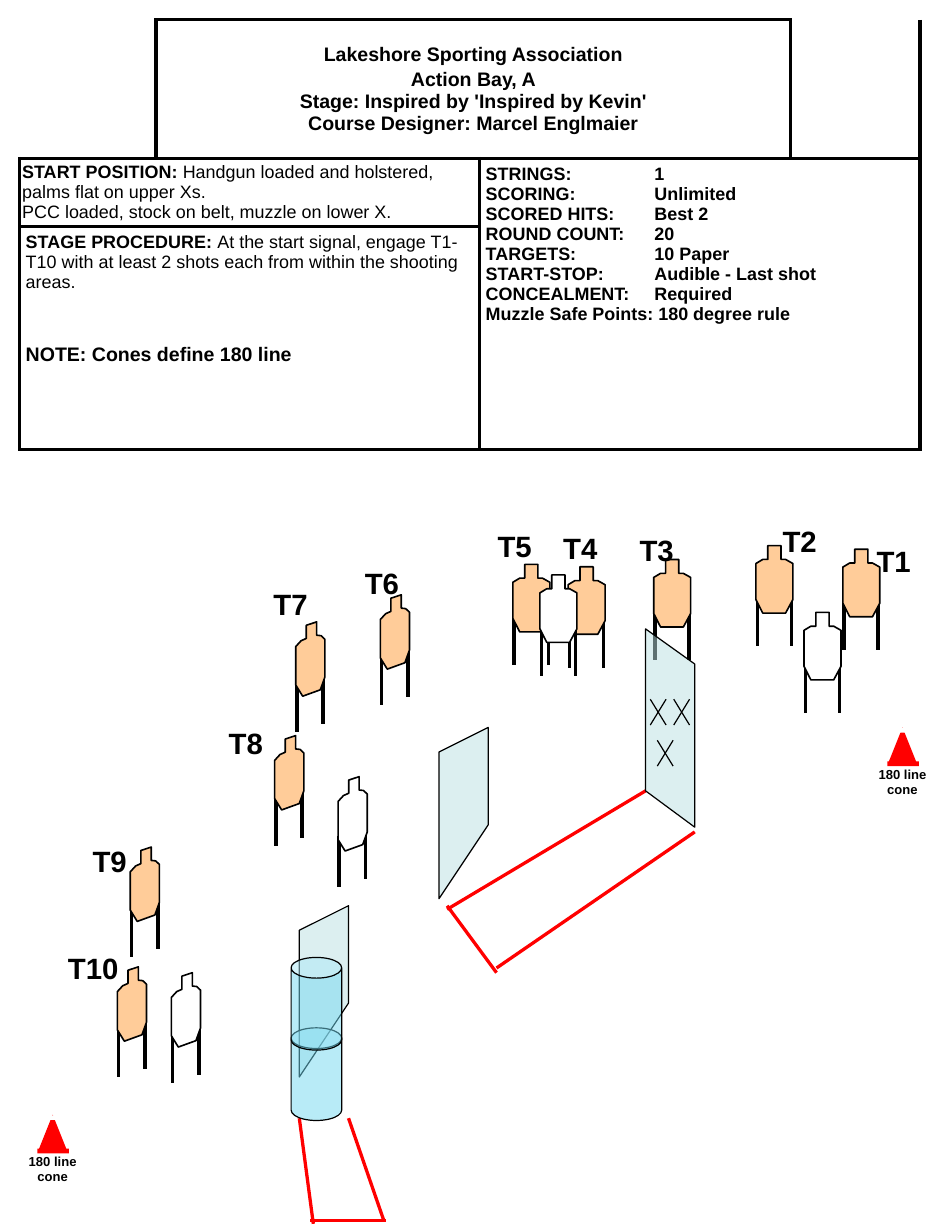
"""Build a one-page shooting stage briefing with its course diagram."""
from dataclasses import dataclass

from lxml import etree
from pptx import Presentation
from pptx.dml.color import RGBColor
from pptx.enum import shapes as kinds, text as texts
from pptx.oxml import ns
from pptx.util import Pt

BLACK, WHITE, RED = "000000", "FFFFFF", "FF0000"
TAN, GLASS, BARREL = "FFCC99", "BBE0E3", "73D9F1"
PLAIN_TABLE = "{2D5ABB26-0587-4C30-8999-92F81FD0307C}"
CENTER = texts.PP_ALIGN.CENTER


@dataclass(frozen=True)
class Silhouette:
    outline: tuple
    legs: tuple


@dataclass(frozen=True)
class Target:
    x: float
    y: float
    silhouette: Silhouette
    color: str = TAN


@dataclass(frozen=True)
class Label:
    name: str
    x: float
    y: float
    width: float = 42.5


@dataclass(frozen=True)
class Para:
    runs: tuple
    before: float = 0
    tab: float = 0


@dataclass(frozen=True)
class Panel:
    first: tuple
    last: tuple
    paras: tuple
    inset: tuple = (3.6, 3.6)
    size: float = 11
    centered: bool = False


FRONT = Silhouette(
    ((7.3, 0), (15.4, 0), (15.4, 8.5), (18.2, 8.5), (22.7, 11), (22.7, 33.1),
     (18.2, 41.4), (4.2, 41.4), (0, 33.1), (0, 11), (4.2, 8.5), (7.3, 8.5)),
    ((0.9, 30.6, 61.9), (21.8, 30.6, 61.9)))
ANGLED = Silhouette(
    ((6.5, 2.1), (12.9, 0), (12.9, 8.2), (15.6, 8.5), (17.9, 10.7), (17.9, 33.9),
     (15.1, 41.7), (4.3, 45.6), (0, 38.7), (0, 15.2), (3.3, 11.6), (6.5, 10.2)),
    ((0.7, 36.5, 67.6), (16.9, 31.9, 62.8)))
BACK_TARGETS = (
    Target(401, 343.4, FRONT), Target(493.2, 375.8, FRONT, WHITE),
    Target(105.1, 596.9, ANGLED, WHITE), Target(207.4, 476.6, ANGLED, WHITE))
FRONT_TARGETS = (
    Target(314.6, 346.3, FRONT), Target(463.7, 334.8, FRONT), Target(517, 337, FRONT),
    Target(79.9, 519.8, ANGLED), Target(72, 593.3, ANGLED), Target(168.5, 451.4, ANGLED),
    Target(181.4, 381.6, ANGLED), Target(233.3, 365, ANGLED),
    Target(348.5, 347.8, FRONT), Target(331.2, 352.8, FRONT, WHITE))
LABELS = (
    Label("T1", 530.6, 329.8), Label("T2", 473, 317.5), Label("T3", 385.2, 323.3),
    Label("T4", 338.4, 321.8), Label("T5", 298.1, 320.4), Label("T6", 216.7, 343.4),
    Label("T7", 160.6, 356.4), Label("T8", 133.2, 441.4), Label("T9", 49.7, 514.1),
    Label("T10", 34.6, 579.6, 49.7))
FAULT_LINES = (
    (213.8, 686.2, 235.4, 748.8), (236.9, 748.8, 190.1, 748.8), (274.3, 555.8, 304.6, 596.9),
    (183.6, 686.2, 192.2, 751), (274.3, 558, 396, 485.3), (304.6, 594, 426.2, 510.5))
TALL_WALL = ((30.2, 21.6), (0, 0), (0, 99.4), (30.2, 121.7))
LOW_WALL = ((30.2, 59.8), (0, 105.1), (0, 15.1), (30.2, 0))
WALLS = ((396, 385.9, TALL_WALL), (269.3, 446.4, LOW_WALL), (183.6, 555.8, LOW_WALL))
CONES = ((5, 684), (526.3, 446.4))
BARRELS = ((178.6, 630.7), (178.6, 587.5))
START_MARKS = ((398.9, 429.1), (413.3, 429.1), (403.2, 454.3))
FACTS = (
    "STRINGS:\t1", "SCORING:\tUnlimited", "SCORED HITS:\tBest 2", "ROUND COUNT:\t20",
    "TARGETS:\t10 Paper", "START-STOP:\tAudible - Last shot", "CONCEALMENT:\tRequired",
    "Muzzle Safe Points: 180 degree rule")
PANELS = (
    Panel((0, 1), (0, 2), (
        Para((("Lakeshore Sporting Association", True),)),
        Para((("Action Bay, A\nStage: Inspired by 'Inspired by Kevin'\n"
               "Course Designer: Marcel Englmaier", True),), 2.4)), size=12, centered=True),
    Panel((1, 0), (1, 1), (
        Para((("START POSITION: ", True),
              ("Handgun loaded and holstered, palms flat on upper Xs.", False))),
        Para((("PCC loaded, stock on belt, muzzle on lower X.", False),), 0.55)), (1.4, 2.2)),
    Panel((1, 2), (2, 3), tuple(Para(((fact, True),), tab=103.5) for fact in FACTS)),
    Panel((2, 0), (2, 1), (
        Para((("STAGE PROCEDURE: ", True),
              ("At the start signal, engage T1-T10 with at least 2 shots each "
               "from within the shooting areas.", False))),
        Para((("NOTE: Cones define 180 line", True, 12),), 32))))


def rgb(color: str) -> RGBColor:
    """Turn a hex string into a colour."""
    return RGBColor.from_string(color)


def apply(part, **values) -> None:
    """Set several attributes of one object."""
    for key, value in values.items():
        setattr(part, key, value)


def style_font(font, size: float, bold: bool = True) -> None:
    """Give text the common black Arial."""
    apply(font, name="Arial", size=Pt(size), bold=bold)
    font.color.rgb = rgb(BLACK)


def paint(shape, fill: str, line: float = 0, alpha: int = 100) -> None:
    """Fill a shape and outline it in black when a line width is given."""
    shape.shadow.inherit = False
    shape.fill.solid()
    shape.fill.fore_color.rgb = rgb(fill)
    if alpha < 100:
        color = shape._element.spPr.find(ns.qn("a:solidFill"))[0]
        etree.SubElement(color, ns.qn("a:alpha"), val=str(alpha * 1000))
    if line:
        shape.line.color.rgb = rgb(BLACK)
        shape.line.width = Pt(line)
    else:
        shape.line.fill.background()


def draw_line(canvas, ends: tuple, color: str, width: float) -> None:
    """Draw a straight line between two points."""
    line = canvas.add_connector(kinds.MSO_CONNECTOR.STRAIGHT, *map(Pt, ends))
    line.line.color.rgb = rgb(color)
    line.line.width = Pt(width)
    etree.SubElement(line._element.spPr, ns.qn("a:effectLst"))


def draw_polygon(canvas, x: float, y: float, corners: tuple):
    """Draw a closed outline moved to x and y."""
    points = [(Pt(x + dx), Pt(y + dy)) for dx, dy in corners]
    builder = canvas.build_freeform(*points[0])
    builder.add_line_segments(points[1:], close=True)
    return builder.convert_to_shape()


def draw_target(canvas, target: Target) -> None:
    """Draw a target on its two legs."""
    group = canvas.add_group_shape().shapes
    for dx, top, foot in target.silhouette.legs:
        x = target.x + dx
        draw_line(group, (x, target.y + top, x, target.y + foot), BLACK, 2.25)
    paint(draw_polygon(group, target.x, target.y, target.silhouette.outline), target.color, 1)


def draw_text(canvas, words: str, box: tuple, size: float, align=None) -> None:
    """Place a bold caption."""
    frame = canvas.add_textbox(*map(Pt, box)).text_frame
    apply(frame, word_wrap=True, auto_size=texts.MSO_AUTO_SIZE.SHAPE_TO_FIT_TEXT)
    caption = frame.paragraphs[0]
    caption.alignment = align
    run = caption.add_run()
    run.text = words
    style_font(run.font, size)


def draw_cone(canvas, x: float, y: float) -> None:
    """Draw a cone with its caption."""
    group = canvas.add_group_shape().shapes
    preset = kinds.MSO_SHAPE
    for kind, dx, dy, width, height, color in (
            (preset.ISOSCELES_TRIANGLE, 18.7, 0, 17.3, 21.6, RED),
            (preset.RECTANGLE, 23, 0.4, 8.6, 2.9, WHITE),
            (preset.RECTANGLE, 18, 20.9, 19.4, 2.9, RED)):
        paint(group.add_shape(kind, Pt(x + dx), Pt(y + dy), Pt(width), Pt(height)), color)
    draw_text(group, "180 line cone", (x, y + 20.2, 54.7, 26.6), 8, CENTER)


def border(cell, sides: str) -> None:
    """Rule the given sides of a cell and fill it white."""
    for side in sides:
        edge = etree.SubElement(cell._tc.get_or_add_tcPr(), ns.qn(f"a:ln{side}"), w=str(Pt(2.25)))
        solid = etree.SubElement(edge, ns.qn("a:solidFill"))
        etree.SubElement(solid, ns.qn("a:srgbClr"), val=BLACK)
    cell.fill.solid()
    cell.fill.fore_color.rgb = rgb(WHITE)


def write_para(paragraph, para: Para, panel: Panel) -> None:
    """Write one paragraph of a panel."""
    if para.before:
        paragraph.space_before = Pt(para.before)
    if panel.centered:
        paragraph.alignment = CENTER
    if para.tab:
        tabs = etree.SubElement(paragraph._p.get_or_add_pPr(), ns.qn("a:tabLst"))
        etree.SubElement(tabs, ns.qn("a:tab"), pos=str(Pt(para.tab)), algn="l")
    for words, bold, *size in para.runs:
        for index, line in enumerate(words.split("\n")):
            if index:
                paragraph.add_line_break()
            run = paragraph.add_run()
            run.text = line
            style_font(run.font, size[0] if size else panel.size, bold)


def draw_briefing(canvas) -> None:
    """Build the briefing table."""
    briefing = canvas.add_table(3, 4, Pt(12.2), Pt(12.2), Pt(552.2), Pt(257)).table
    apply(briefing, first_row=False, horz_banding=False)
    briefing._tbl.tblPr.find(ns.qn("a:tableStyleId")).text = PLAIN_TABLE
    for column, width in zip(briefing.columns, (83.5, 198.7, 190.8, 79.2)):
        column.width = Pt(width)
    for row, height in zip(briefing.rows, (85, 35.3, 136.8)):
        row.height = Pt(height)
    open_corners = {(0, 0): "RB", (0, 3): "LB"}
    for r in range(3):
        for c in range(4):
            border(briefing.cell(r, c), open_corners.get((r, c), "LRTB"))
    for panel in PANELS:
        cell = briefing.cell(*panel.first)
        cell.merge(briefing.cell(*panel.last))
        side, top = map(Pt, panel.inset)
        apply(cell, margin_left=side, margin_right=side, margin_top=top, margin_bottom=top)
        if panel.centered:
            cell.vertical_anchor = texts.MSO_ANCHOR.MIDDLE
        frame = cell.text_frame
        for index, para in enumerate(panel.paras):
            write_para(frame.add_paragraph() if index else frame.paragraphs[0], para, panel)


def main() -> None:
    """Draw the stage page and save it."""
    deck = Presentation()
    apply(deck, slide_width=Pt(576), slide_height=Pt(756))
    canvas = deck.slides.add_slide(deck.slide_layouts[6]).shapes
    for target in BACK_TARGETS:
        draw_target(canvas, target)
    draw_briefing(canvas)
    for ends in FAULT_LINES:
        draw_line(canvas, ends, RED, 2)
    for label in LABELS:
        draw_text(canvas, label.name, (label.x, label.y, label.width, 28.8), 18)
    for x, y in CONES:
        draw_cone(canvas, x, y)
    for target in FRONT_TARGETS:
        draw_target(canvas, target)
    for x, y, corners in WALLS:
        paint(draw_polygon(canvas, x, y, corners), GLASS, 0.75, 50)
    for x, y in BARRELS:
        can = canvas.add_shape(kinds.MSO_SHAPE.CAN, Pt(x), Pt(y), Pt(31), Pt(56.9))
        can.adjustments[0] = 0.41
        paint(can, BARREL, 0.75, 50)
    for x, y in START_MARKS:
        draw_line(canvas, (x + 9.7, y, x, y + 15.8), BLACK, 0.75)
        draw_line(canvas, (x, y, x + 9.7, y + 15.8), BLACK, 0.75)
    deck.save("out.pptx")


if __name__ == "__main__":
    main()
